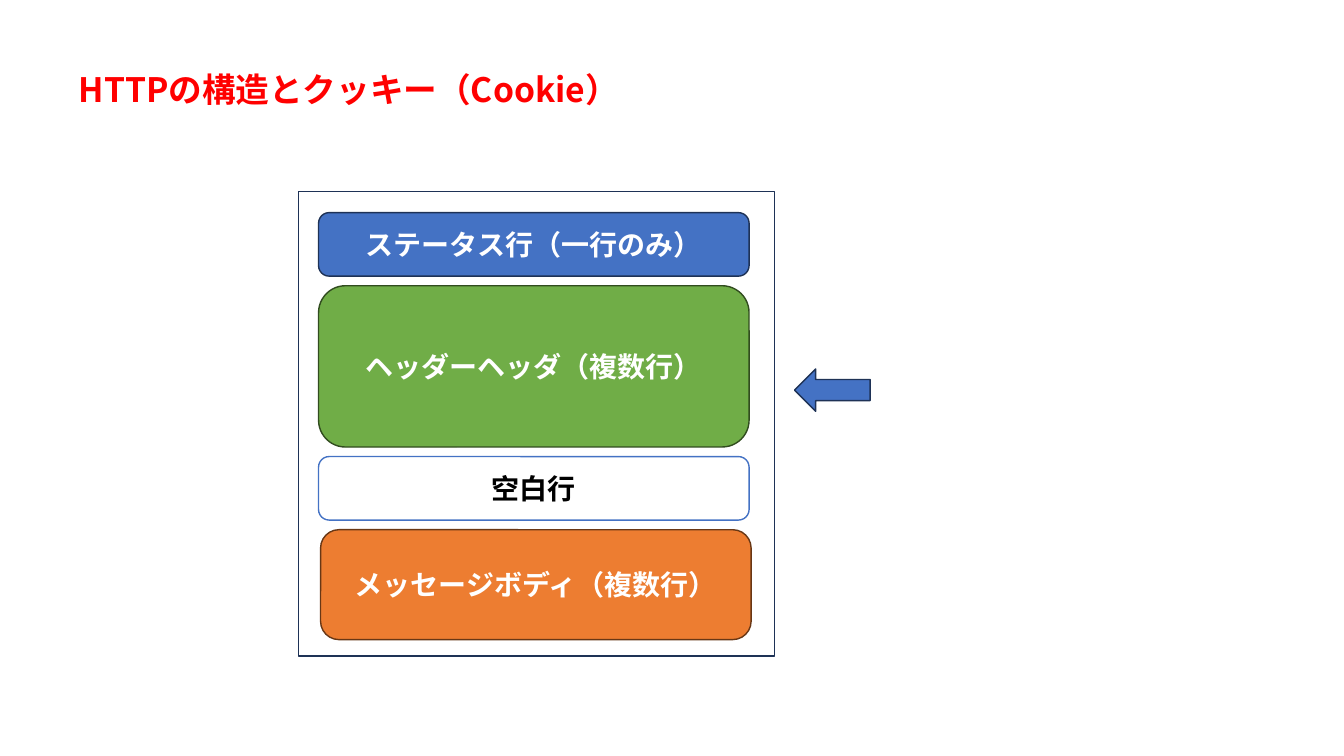
import pptx
import pptx.util
import pptx.dml.color
import pptx.enum.shapes
import pptx.enum.text
import pptx.oxml.ns
from lxml import etree

Inches, Pt = pptx.util.Inches, pptx.util.Pt
SHAPE = pptx.enum.shapes.MSO_SHAPE
ANCHOR = pptx.enum.text.MSO_ANCHOR
ALIGN = pptx.enum.text.PP_ALIGN

TITLE = "HTTPの構造とクッキー（Cookie）"
# text, height, shift to the right, fill, line, text colour
PARTS = [
    ("ステータス行（一行のみ）", 0.63, 0, "blue", "navy", "white"),
    ("ヘッダーヘッダ（複数行）", 1.6, 0, "green", "dark green", "white"),
    ("空白行", 0.63, 0, "white", "blue", "black"),
    ("メッセージボディ（複数行）", 1.09, 0.02, "orange", "brown", "white"),
]
COLORS = {
    "red": "FF0000", "white": "FFFFFF", "black": "000000",
    "blue": "4472C4", "navy": "1E3256", "green": "70AD47",
    "dark green": "314C1F", "orange": "ED7D31", "brown": "683715",
}
FONT = "Noto Sans CJK JP"

TITLE_BOX = (0.68, 0.68, 11.97, 0.71)
MESSAGE_BOX = (2.96, 1.9, 4.72, 4.61)
ARROW_BOX = (7.88, 3.66, 0.75, 0.42)
PART_LEFT, PART_TOP, PART_WIDTH, PART_GAP = 3.16, 2.11, 4.27, 0.095


def color(name):
    return pptx.dml.color.RGBColor.from_string(COLORS[name])


def write(shape, text, size, ink, align, anchor):
    frame = shape.text_frame
    frame.word_wrap = True
    frame.vertical_anchor = anchor
    para = frame.paragraphs[0]
    para.alignment = align
    span = para.add_run()
    span.text = text
    for key, value in {"size": Pt(size), "bold": True, "name": FONT}.items():
        setattr(span.font, key, value)
    span.font.color.rgb = color(ink)
    # Japanese glyphs take the East Asian typeface
    etree.SubElement(span.font._element, pptx.oxml.ns.qn("a:ea"), typeface=FONT)
    return para


def add_block(page, kind, box, fill, line):
    shape = page.shapes.add_shape(kind, *map(Inches, box))
    shape.shadow.inherit = False
    if fill:
        shape.fill.solid()
        shape.fill.fore_color.rgb = color(fill)
    else:
        shape.fill.background()
    shape.line.color.rgb = color(line)
    shape.line.width = Pt(1)
    return shape


def main():
    deck = pptx.Presentation()
    deck.slide_width, deck.slide_height = Inches(13.33), Inches(7.5)
    page = deck.slides.add_slide(deck.slide_layouts[5])

    title = page.shapes.title
    for key, value in zip(("left", "top", "width", "height"), TITLE_BOX):
        setattr(title, key, Inches(value))
    para = write(title, TITLE, 24, "red", ALIGN.LEFT, ANCHOR.TOP)
    para.line_spacing = 0.9

    add_block(page, SHAPE.RECTANGLE, MESSAGE_BOX, None, "navy")
    top = PART_TOP
    for text, height, shift, fill, line, ink in PARTS:
        box = (PART_LEFT + shift, top, PART_WIDTH, height)
        part = add_block(page, SHAPE.ROUNDED_RECTANGLE, box, fill, line)
        write(part, text, 20, ink, ALIGN.CENTER, ANCHOR.MIDDLE)
        top += height + PART_GAP
    add_block(page, SHAPE.LEFT_ARROW, ARROW_BOX, "blue", "navy")

    deck.save("out.pptx")


if __name__ == "__main__":
    main()
